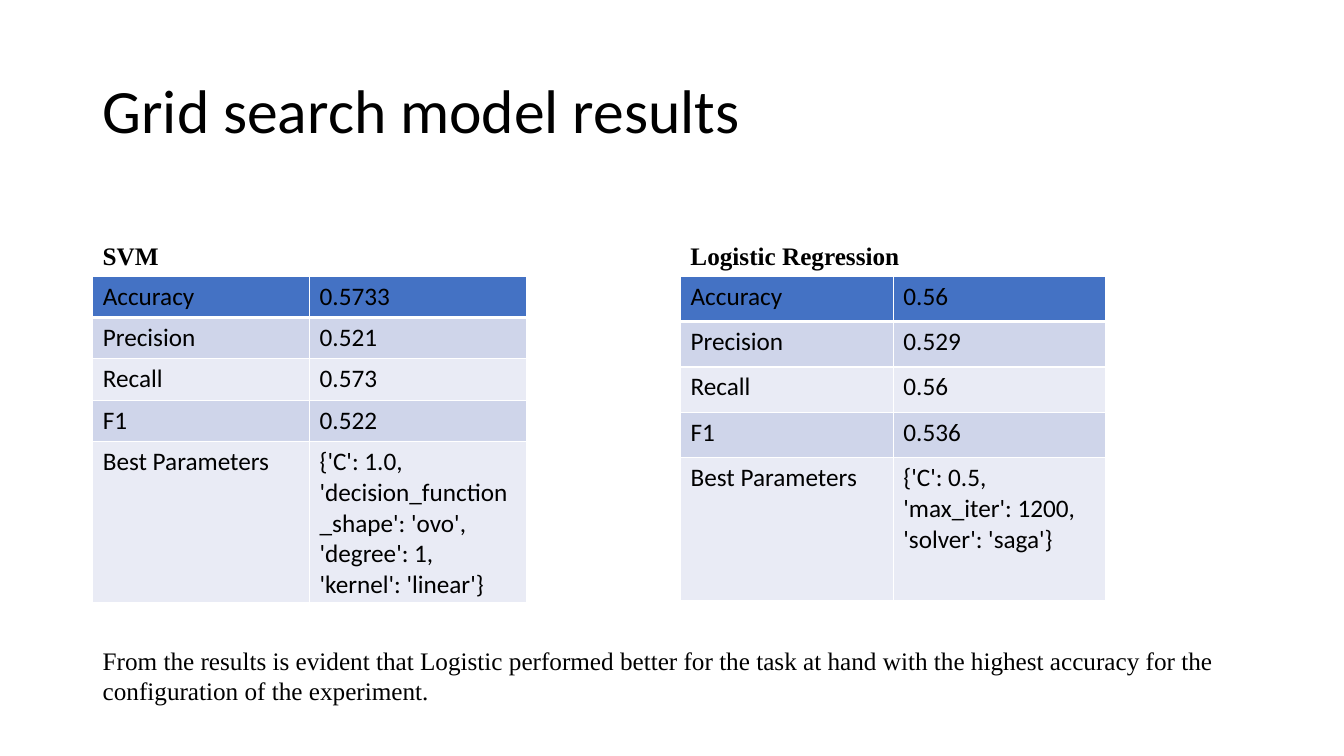
from lxml import etree
from pptx import Presentation
from pptx.dml.color import RGBColor as RGB
from pptx.enum.text import MSO_ANCHOR as Anchor
from pptx.oxml.ns import qn
from pptx.util import Inches, Pt

SLIDE_W, SLIDE_H = 13.33, 7.5
LEFT = 0.92
RIGHT_COLUMN = 6.75
COLORS = {
    "text": "000000",
    "header": "4472C4",
    "dark_band": "CFD5EA",
    "light_band": "E9EBF5",
    "border": "FFFFFF",
}
METRICS = ["Accuracy", "Precision", "Recall", "F1", "Best Parameters"]
SVM = ["0.5733", "0.521", "0.573", "0.522",
       "{'C': 1.0, 'decision_function_shape': 'ovo', 'degree': 1, 'kernel': 'linear'}"]
LOGISTIC = ["0.56", "0.529", "0.56", "0.536",
            "{'C': 0.5, 'max_iter': 1200, 'solver': 'saga'}"]
CONCLUSION = ("From the results is evident that Logistic performed better for the task "
              "at hand with the highest accuracy for the configuration of the experiment.")


def write(frame, text, size=18, font="Times New Roman", bold=False, spacing=None):
    paragraph = frame.paragraphs[0]
    paragraph.line_spacing = spacing
    run = paragraph.add_run()
    run.text = text
    run.font.size = Pt(size)
    run.font.name = font
    run.font.bold = bold
    run.font.color.rgb = RGB.from_string(COLORS["text"])


def add_text(slide, box, text, anchor=Anchor.TOP, **text_format):
    frame = slide.shapes.add_textbox(*map(Inches, box)).text_frame
    frame.word_wrap = True
    frame.vertical_anchor = anchor
    write(frame, text, **text_format)


def set_borders(cell, top, bottom):
    properties = cell._tc.get_or_add_tcPr()
    widths = {"a:lnL": 1, "a:lnR": 1, "a:lnT": top, "a:lnB": bottom}
    for position, (side, width) in enumerate(widths.items()):
        line = etree.Element(qn(side), w=str(Pt(width)))
        fill = etree.SubElement(line, qn("a:solidFill"))
        etree.SubElement(fill, qn("a:srgbClr"), val=COLORS["border"])
        properties.insert(position, line)


def add_model(slide, box, name, values, metric_height):
    """Model name above its table of scores."""
    left, top, width, height = box
    name_height = 0.9
    add_text(slide, (left, top, 5.65, name_height), name,
             anchor=Anchor.BOTTOM, bold=True, spacing=0.9)

    table_height = height - name_height
    table = slide.shapes.add_table(
        len(METRICS), 2, *map(Inches, (left, top + name_height, width, table_height))).table
    last = len(METRICS) - 1
    for column in table.columns:
        column.width = Inches(width / 2)
    for index, scores in enumerate(zip(METRICS, values)):
        row_height = metric_height if index < last else table_height - last * metric_height
        table.rows[index].height = Inches(row_height)
        band = "header" if index == 0 else "dark_band" if index % 2 else "light_band"
        for column, score in enumerate(scores):
            cell = table.cell(index, column)
            cell.fill.solid()
            cell.fill.fore_color.rgb = RGB.from_string(COLORS[band])
            set_borders(cell, top=3 if index == 1 else 1, bottom=3 if index == 0 else 1)
            write(cell.text_frame, score, font="Calibri")


def build_results(slide):
    # Title
    add_text(slide, (LEFT, 0.4, 11.5, 1.45), "Grid search model results",
             anchor=Anchor.MIDDLE, size=44, font="Calibri", spacing=0.9)
    # Two models side by side
    add_model(slide, (LEFT, 1.84, 4.3, 4.12), "SVM", SVM, metric_height=0.41)
    add_model(slide, (RIGHT_COLUMN, 1.84, 4.22, 4.12), "Logistic Regression", LOGISTIC,
              metric_height=0.45)
    # Conclusion
    add_text(slide, (LEFT, 6.35, 11.32, 0.71), CONCLUSION)


def main():
    deck = Presentation()
    deck.slide_width, deck.slide_height = Inches(SLIDE_W), Inches(SLIDE_H)
    build_results(deck.slides.add_slide(deck.slide_layouts[6]))
    deck.save("out.pptx")


if __name__ == "__main__":
    main()
